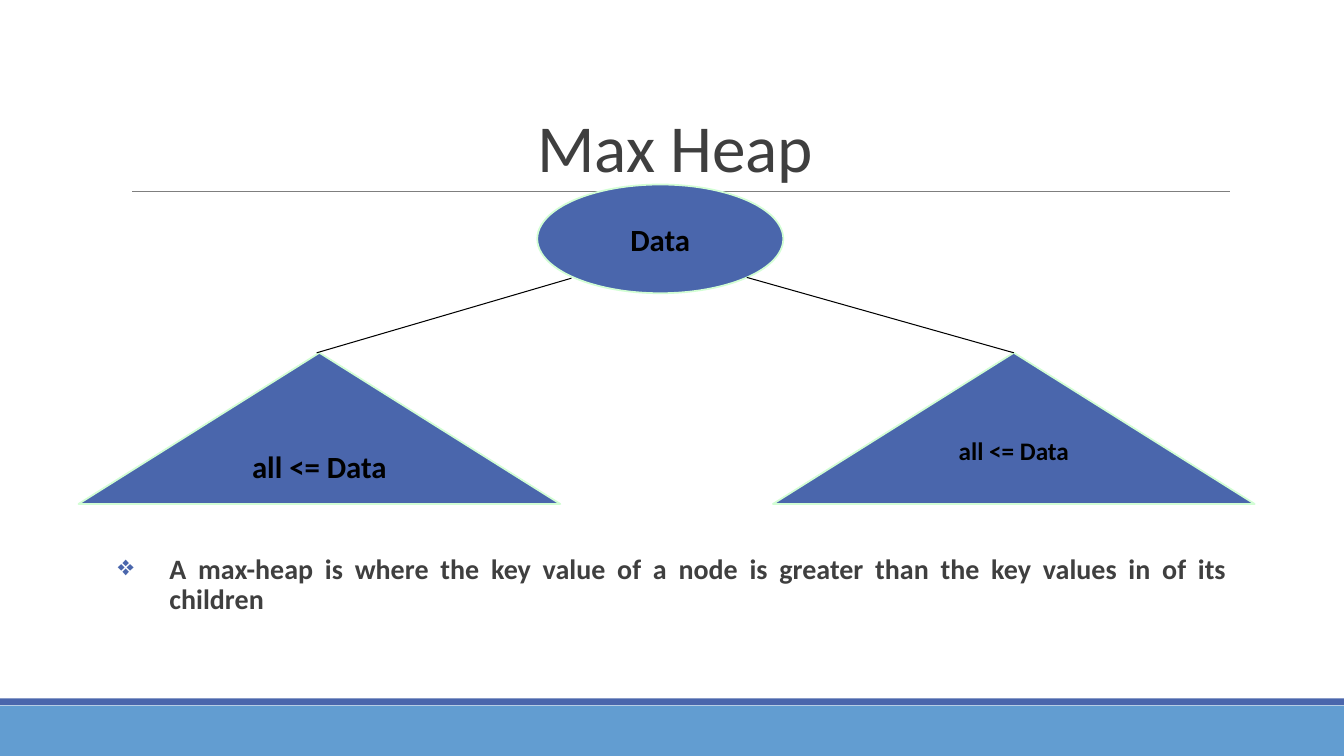
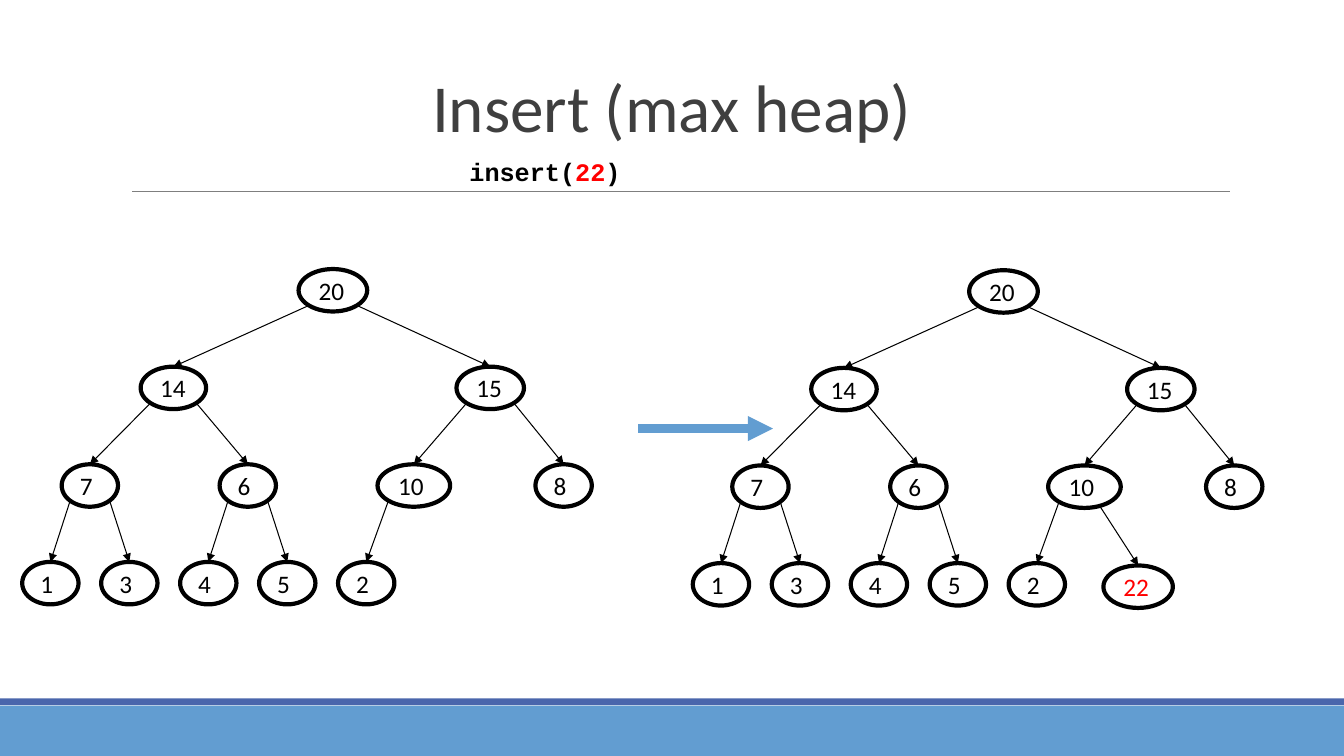
"""Builds two slides on the max heap: its ordering rule and an insertion."""
from dataclasses import dataclass
from math import sqrt
from typing import Any, Optional

from lxml import etree
from pptx import Presentation
from pptx.dml.color import RGBColor
from pptx.enum import shapes, text
from pptx.oxml import ns
from pptx.util import Cm, Pt

SKY = RGBColor(0x62, 0x9D, 0xD1)
BLUE = RGBColor(0x4A, 0x66, 0xAC)
MINT = RGBColor(0xD2, 0xFE, 0xD4)
GREY = RGBColor(0x7F, 0x7F, 0x7F)
CHARCOAL = RGBColor(0x3F, 0x3F, 0x3F)
BLACK = RGBColor(0x00, 0x00, 0x00)
RED = RGBColor(0xFF, 0x00, 0x00)

WIDTH, HEIGHT = 33.87, 19.05
SLOT, LEVEL, NODE_HEIGHT = 1.99, 2.46, 1.07
LEFT_EXIT, RIGHT_EXIT = 0.15, 0.85

SHAPE = shapes.MSO_SHAPE
ALIGN = text.PP_ALIGN
ANCHOR = text.MSO_ANCHOR


@dataclass(frozen=True)
class Box:
    """A rectangle in centimetres."""

    left: float
    top: float
    width: float
    height: float

    def lengths(self) -> tuple[Cm, Cm, Cm, Cm]:
        """Return the four measures as lengths."""
        return Cm(self.left), Cm(self.top), Cm(self.width), Cm(self.height)


@dataclass(frozen=True)
class Node:
    """A heap node, placed by slot and level, with the edge from its parent."""

    label: str
    slot: float
    level: int
    width: float = 1.42
    parent: Optional[str] = None
    exit: float = LEFT_EXIT
    drop: float = 0
    color: RGBColor = BLACK

    def box(self, left: float, top: float) -> Box:
        """Return the node's place in a tree with the given corner."""
        return Box(left + self.slot * SLOT, top + self.level * LEVEL + self.drop,
                   self.width, NODE_HEIGHT)


HEAP = (
    Node("20", 3.5, 0, 1.73),
    Node("14", 1.5, 1, 1.65, "20"),
    Node("15", 5.5, 1, 1.7, "20", RIGHT_EXIT),
    Node("7", 0.5, 2, parent="14"),
    Node("6", 2.5, 2, parent="14", exit=RIGHT_EXIT),
    Node("10", 4.5, 2, 1.83, "15"),
    Node("8", 6.5, 2, parent="15", exit=RIGHT_EXIT),
    Node("1", 0, 3, parent="7"),
    Node("3", 1, 3, parent="7", exit=RIGHT_EXIT),
    Node("4", 2, 3, parent="6"),
    Node("5", 3, 3, parent="6", exit=RIGHT_EXIT),
    Node("2", 4, 3, parent="10"),
)
INSERTED = Node("22", 5.2, 3, 1.75, "10", 0.71, 0.06, RED)


def assign(target: Any, values: dict[str, Any]) -> None:
    """Set each named attribute of the target."""
    for name, value in values.items():
        setattr(target, name, value)


def write(p: Any, content: str, size: float, color: RGBColor = BLACK,
          bold: bool = False, name: str = "Calibri") -> None:
    """Add a formatted run to a paragraph."""
    r = p.add_run()
    r.text = content
    assign(r.font, {"size": Pt(size), "bold": bold, "name": name})
    r.font.color.rgb = color


def add_shape(s: Any, kind: Any, box: Box, fill: Optional[RGBColor] = None,
              line: Optional[RGBColor] = None, weight: float = 1) -> Any:
    """Draw a flat preset shape; a missing colour means none."""
    sp = s.shapes.add_shape(kind, *box.lengths())
    sp.shadow.inherit = False
    if fill is None:
        sp.fill.background()
    else:
        sp.fill.solid()
        sp.fill.fore_color.rgb = fill
    if line is None:
        sp.line.fill.background()
    else:
        sp.line.color.rgb = line
        sp.line.width = Pt(weight)
    sp.text_frame.vertical_anchor = ANCHOR.MIDDLE
    return sp


def add_line(s: Any, x1: float, y1: float, x2: float, y2: float,
             color: RGBColor = BLACK, weight: float = 0.75, arrow: bool = False) -> Any:
    """Draw a straight connector, with an arrowhead at its end if asked."""
    sp = s.shapes.add_connector(shapes.MSO_CONNECTOR.STRAIGHT,
                                Cm(x1), Cm(y1), Cm(x2), Cm(y2))
    sp.line.color.rgb = color
    sp.line.width = Pt(weight)
    if arrow:
        etree.SubElement(sp.line._get_or_add_ln(), ns.qn("a:tailEnd"), type="triangle")
    etree.SubElement(sp.element.spPr, ns.qn("a:effectLst"))
    return sp


def add_text_box(s: Any, box: Box, wrap: bool = True) -> Any:
    """Add a text box and return its text frame."""
    tf = s.shapes.add_textbox(*box.lengths()).text_frame
    tf.word_wrap = wrap
    return tf


def add_bullet(p: Any, mark: str, indent: float, color: RGBColor) -> None:
    """Give a paragraph a coloured bullet with a hanging indent."""
    pPr = p._p.get_or_add_pPr()
    pPr.set("marL", str(Cm(indent)))
    pPr.set("indent", str(-Cm(indent)))
    clr = etree.SubElement(pPr, ns.qn("a:buClr"))
    etree.SubElement(clr, ns.qn("a:srgbClr"), val=str(color))
    etree.SubElement(pPr, ns.qn("a:buChar"), char=mark)


def add_titled_slide(prs: Any, title: str, box: Box) -> Any:
    """Add a title-only slide and format its title."""
    s = prs.slides.add_slide(prs.slide_layouts[5])
    sp = s.shapes.title
    assign(sp, dict(zip(("left", "top", "width", "height"), box.lengths())))
    tf = sp.text_frame
    assign(tf, {"vertical_anchor": ANCHOR.BOTTOM, "word_wrap": True,
                "auto_size": text.MSO_AUTO_SIZE.NONE})
    p = tf.paragraphs[0]
    assign(p, {"alignment": ALIGN.CENTER, "line_spacing": 0.85})
    write(p, title, 48, CHARCOAL)
    return s


def decorate_layout(s: Any) -> None:
    """Put the footer bands and the title rule on the slide's layout."""
    parts = (
        add_shape(s, SHAPE.RECTANGLE, Box(0, 17.78, WIDTH, 1.27), SKY),
        add_shape(s, SHAPE.RECTANGLE, Box(0, 17.6, WIDTH, 0.17), BLUE),
        add_line(s, 3.33, 4.82, 31, 4.82, GREY),
    )
    for sp in parts:
        s.slide_layout.shapes.element.append(sp.element)


def add_heap(s: Any, nodes: tuple[Node, ...], left: float, top: float) -> None:
    """Draw a heap's nodes and the arrows from parent to child."""
    drawn: dict[str, tuple[Box, Any]] = {}
    for node in nodes:
        box = node.box(left, top)
        sp = add_shape(s, SHAPE.OVAL, box, line=BLACK, weight=3)
        p = sp.text_frame.paragraphs[0]
        p.alignment = ALIGN.LEFT
        write(p, node.label, 18, node.color)
        drawn[node.label] = box, sp
        if node.parent:
            start = drawn[node.parent][0]
            depth = 0.5 + sqrt(0.25 - (node.exit - 0.5) ** 2)
            edge = add_line(s, start.left + node.exit * start.width,
                            start.top + depth * start.height,
                            box.left + box.width / 2, box.top, arrow=True)
            edge.end_connect(sp, 0)


def build_rule_slide(prs: Any) -> None:
    """Show a root above two subtrees, with the max-heap rule."""
    s = add_titled_slide(prs, "Max Heap", Box(3.05, 0.79, 27.94, 4.04))
    decorate_layout(s)
    figures = (
        (SHAPE.OVAL, Box(13.54, 4.65, 6.2, 2.74), "Data", 22, 0.13),
        (SHAPE.ISOSCELES_TRIANGLE, Box(1.98, 8.89, 12.14, 3.81), "all <= Data", 22, 0.13),
        (SHAPE.ISOSCELES_TRIANGLE, Box(19.48, 8.89, 12.14, 3.81), "all <= Data", 18, 0.9),
    )
    for kind, box, label, size, bottom in figures:
        sp = add_shape(s, kind, box, BLUE, MINT, 1.25)
        sp.text_frame.margin_bottom = Cm(bottom)
        p = sp.text_frame.paragraphs[0]
        p.alignment = ALIGN.CENTER
        write(p, label, size, bold=True)
    add_line(s, 14.4, 7.01, 7.98, 8.89)
    add_line(s, 18.82, 6.99, 25.55, 8.89)

    tf = add_text_box(s, Box(2.97, 13.87, 27.94, 2.03))
    assign(tf, {"margin_left": 0, "margin_right": 0})
    p = tf.paragraphs[0]
    add_bullet(p, "❖", 1.3, BLUE)
    assign(p, {"alignment": ALIGN.JUSTIFY, "line_spacing": 0.9})
    write(p, "A max-heap is where the key value of a node is greater than "
             "the key values in of its children", 20, CHARCOAL, True)


def build_insert_slide(prs: Any) -> None:
    """Show a heap before and after a value is added."""
    s = add_titled_slide(prs, "Insert (max heap)", Box(2.54, 0.64, 28.78, 3.18))
    add_line(s, 16.08, 10.8, 19.48, 10.8, SKY, 6, True)
    add_heap(s, HEAP, 0.56, 6.78)
    add_heap(s, HEAP + (INSERTED,), 17.46, 6.81)
    p = add_text_box(s, Box(11.58, 3.81, 4.34, 1.02), False).paragraphs[0]
    for content, color in (("insert(", BLACK), ("22", RED), (")", BLACK)):
        write(p, content, 18, color, True, "Courier New")


def main() -> None:
    """Build and save the presentation."""
    prs = Presentation()
    assign(prs, {"slide_width": Cm(WIDTH), "slide_height": Cm(HEIGHT)})
    build_rule_slide(prs)
    build_insert_slide(prs)
    prs.save("out.pptx")


if __name__ == "__main__":
    main()
